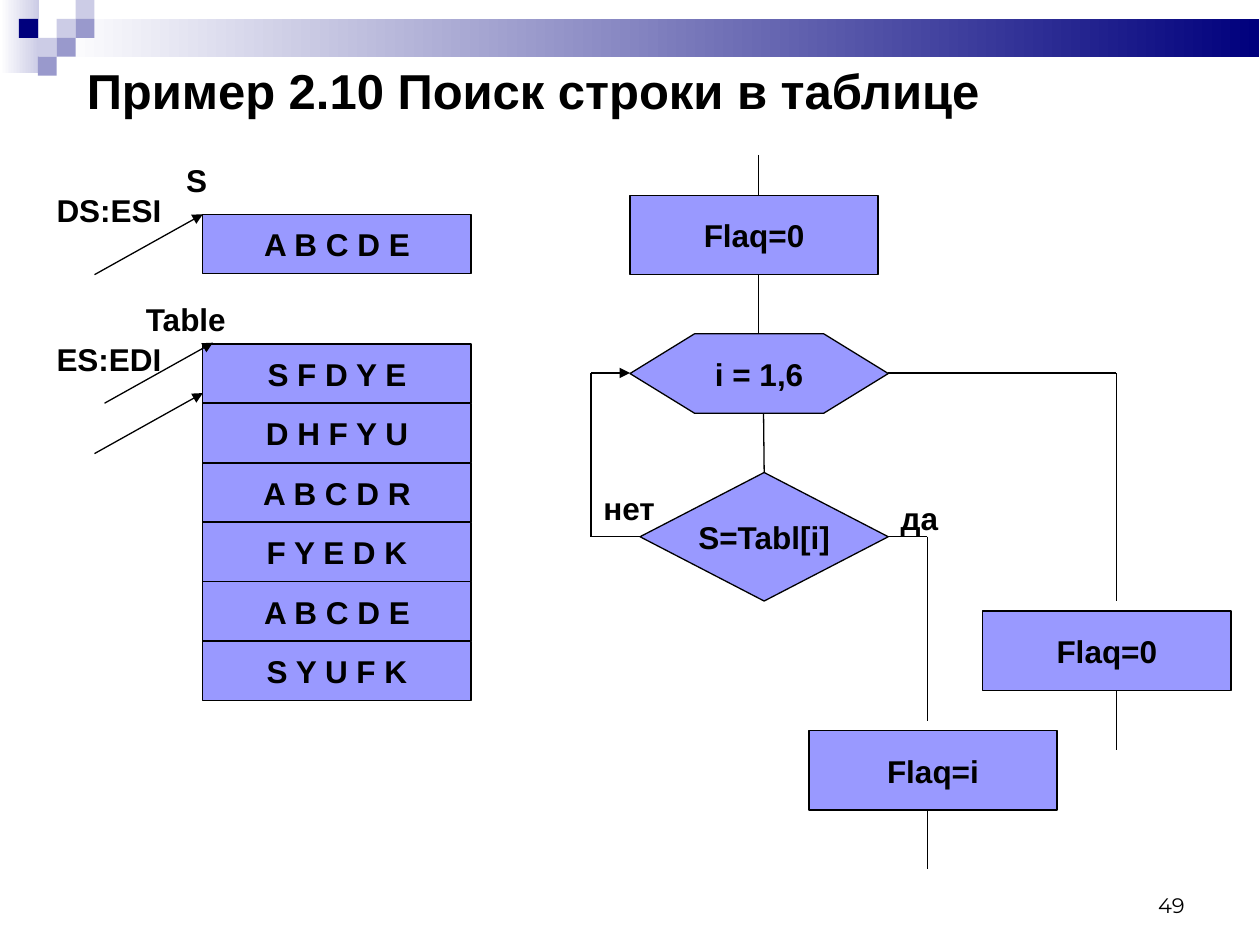
from lxml import etree
from pptx import Presentation
from pptx.dml.color import RGBColor
from pptx.enum.shapes import MSO_CONNECTOR, MSO_SHAPE
from pptx.enum.text import MSO_ANCHOR, MSO_AUTO_SIZE, PP_ALIGN
from pptx.oxml.ns import qn
from pptx.util import Inches, Pt

RECT, HEXAGON, DIAMOND = MSO_SHAPE.RECTANGLE, MSO_SHAPE.HEXAGON, MSO_SHAPE.DIAMOND
STRAIGHT = MSO_CONNECTOR.STRAIGHT
LEFT, CENTER, RIGHT = PP_ALIGN.LEFT, PP_ALIGN.CENTER, PP_ALIGN.RIGHT
TOP, MIDDLE, BOTTOM = MSO_ANCHOR.TOP, MSO_ANCHOR.MIDDLE, MSO_ANCHOR.BOTTOM
SIDE_TOP, SIDE_LEFT, SIDE_RIGHT = 0, 1, 3

THEME = {
    "ink": "000000", "box": "9999FF", "paper": "FFFFFF",
    "navy": "00007D", "pale": "CCCCE6", "mid": "9999CC",
    "font": "Arial", "number_font": "Montserrat",
    "title": 28, "body": 18, "number": 12, "line": 0.75,
}

# Content
TITLE = "Пример 2.10 Поиск строки в таблице"
PAGE_NUMBER = "49"
SEARCH_STRING = "A B C D E"
TABLE_ROWS = ["S F D Y E", "D H F Y U", "A B C D R", "F Y E D K", "A B C D E", "S Y U F K"]
LABELS = [  # text, left, top, width
    ("S", 1.38, 1.23, 0.36), ("Table", 1.06, 2.33, 0.94),
    ("DS:ESI", 0.35, 1.47, 1.15), ("ES:EDI", 0.35, 2.65, 1.15),
    ("нет", 4.69, 3.83, 0.61), ("да", 7.05, 3.91, 0.61),
]
FLOW_BOXES = [  # text, preset, left, top, width, height
    ("Flaq=0", RECT, 5, 1.55, 1.97, 0.63),
    ("i = 1,6", HEXAGON, 5, 2.65, 2.05, 0.63),
    ("S=Tabl[i]", DIAMOND, 5.08, 3.75, 1.97, 1.02),
    ("Flaq=0", RECT, 7.8, 4.85, 1.97, 0.63),
    ("Flaq=i", RECT, 6.42, 5.8, 1.97, 0.63),
]

# Layout
CELL_LEFT, CELL_WIDTH, CELL_HEIGHT = 1.61, 2.13, 0.47
STRING_TOP, TABLE_TOP, ROW_STEP = 1.7, 2.73, 0.472
TILE = 0.15
TILES = [  # column, row, colour
    (3, 1, "pale"), (4, 0, "pale"), (4, 1, "mid"), (2, 2, "pale"),
    (1, 1, "navy"), (3, 2, "mid"), (2, 3, "mid"),
]
POINTERS = [(0.75, 2.18), (0.83, 3.2), (0.75, 3.6)]
POINTER_RUN, POINTER_RISE = 0.86, 0.48
ENTRY_X, LOOP_X, FOUND_X, DONE_X = 6.02, 4.69, 7.36, 8.86
LOOP_Y, TEST_Y = 2.96, 4.26


def colour(name):
    return RGBColor.from_string(THEME[name])


def write(box, text, size="body", font="font", bold=True, align=LEFT, anchor=TOP):
    frame = box.text_frame
    frame.vertical_anchor = anchor
    para = frame.paragraphs[0]
    para.alignment = align
    span = para.add_run()
    span.text = text
    span.font.size = Pt(THEME[size])
    span.font.name = THEME[font]
    span.font.bold = bold
    span.font.color.rgb = colour("ink")


def add_text(page, text, left, top, width, height, **style):
    box = page.shapes.add_textbox(Inches(left), Inches(top), Inches(width), Inches(height))
    box.text_frame.word_wrap = True
    write(box, text, **style)
    return box


def add_plain(page, preset, left, top, width, height):
    shape = page.shapes.add_shape(
        preset, Inches(left), Inches(top), Inches(width), Inches(height))
    shape.shadow.inherit = False
    shape.line.fill.background()
    return shape


def add_gradient(page, left, top, width, height, end):
    fill = add_plain(page, RECT, left, top, width, height).fill
    fill.gradient()
    fill.gradient_angle = 0
    for stop, name in zip(fill.gradient_stops, ("paper", end)):
        stop.color.rgb = colour(name)


def add_box(page, text, preset, left, top, width, height):
    box = add_plain(page, preset, left, top, width, height)
    box.fill.solid()
    box.fill.fore_color.rgb = colour("box")
    box.line.color.rgb = colour("ink")
    box.line.width = Pt(THEME["line"])
    box.text_frame.word_wrap = False
    write(box, text, align=CENTER, anchor=MIDDLE)
    return box


def add_line(page, start, end, arrow=False):
    line = page.shapes.add_connector(STRAIGHT, *(Inches(v) for v in (*start, *end)))
    line.line.color.rgb = colour("ink")
    line.line.width = Pt(THEME["line"])
    properties = line._element.spPr
    if arrow:
        outline = properties.find(qn("a:ln"))
        etree.SubElement(outline, qn("a:tailEnd"), type="triangle")
    etree.SubElement(properties, qn("a:effectLst"))
    return line


def main():
    deck = Presentation()
    deck.slide_width, deck.slide_height = Inches(10), Inches(7.5)
    page = deck.slides.add_slide(deck.slide_layouts[6])

    # Header band and tiles
    add_gradient(page, 0, 0, 0.31, 0.58, "pale")
    add_gradient(page, 0.45, TILE, 9.54, 2 * TILE, "navy")
    for column, row, name in TILES:
        tile = add_plain(page, RECT, column * TILE, row * TILE, TILE, TILE)
        tile.fill.solid()
        tile.fill.fore_color.rgb = colour(name)

    # Title and page number
    add_text(page, PAGE_NUMBER, 7.17, 6.83, 2.33, 0.5, size="number",
             font="number_font", bold=False, align=RIGHT, anchor=BOTTOM)
    add_text(page, TITLE, 0.59, 0.43, 9.21, 0.57, size="title", anchor=MIDDLE)

    # Search string and table rows
    add_box(page, SEARCH_STRING, RECT, CELL_LEFT, STRING_TOP, CELL_WIDTH, CELL_HEIGHT)
    for index, row in enumerate(TABLE_ROWS):
        add_box(page, row, RECT, CELL_LEFT, TABLE_TOP + index * ROW_STEP,
                CELL_WIDTH, CELL_HEIGHT)
    for x, y in POINTERS:
        add_line(page, (x, y), (x + POINTER_RUN, y - POINTER_RISE), arrow=True)

    # Flowchart boxes
    start, loop, test, missing, found = [add_box(page, *item) for item in FLOW_BOXES]
    loop.adjustments[0] = 0.812

    # Flowchart lines
    add_line(page, (ENTRY_X, 1.23), (ENTRY_X, 1.55))
    add_line(page, (ENTRY_X, 2.18), (ENTRY_X, 2.65))
    add_line(page, (6.06, 3.28), (6.06, 3.75)).end_connect(test, SIDE_TOP)
    add_line(page, (5.08, TEST_Y), (LOOP_X, TEST_Y)).begin_connect(test, SIDE_LEFT)
    add_line(page, (LOOP_X, TEST_Y), (LOOP_X, LOOP_Y))
    add_line(page, (LOOP_X, LOOP_Y), (5, LOOP_Y), arrow=True)
    add_line(page, (DONE_X, LOOP_Y), (7.05, LOOP_Y))
    add_line(page, (DONE_X, LOOP_Y), (DONE_X, 4.77))
    add_line(page, (DONE_X, 5.48), (DONE_X, 5.95))
    add_line(page, (FOUND_X, TEST_Y), (7.05, TEST_Y)).end_connect(test, SIDE_RIGHT)
    add_line(page, (FOUND_X, TEST_Y), (FOUND_X, 5.72))
    add_line(page, (FOUND_X, 6.43), (FOUND_X, 6.9))

    # Labels
    for text, left, top, width in LABELS:
        label = add_text(page, text, left, top, width, 0.4)
        label.text_frame.word_wrap = len(text) > 1
        label.text_frame.auto_size = MSO_AUTO_SIZE.SHAPE_TO_FIT_TEXT

    deck.save("out.pptx")


if __name__ == "__main__":
    main()
